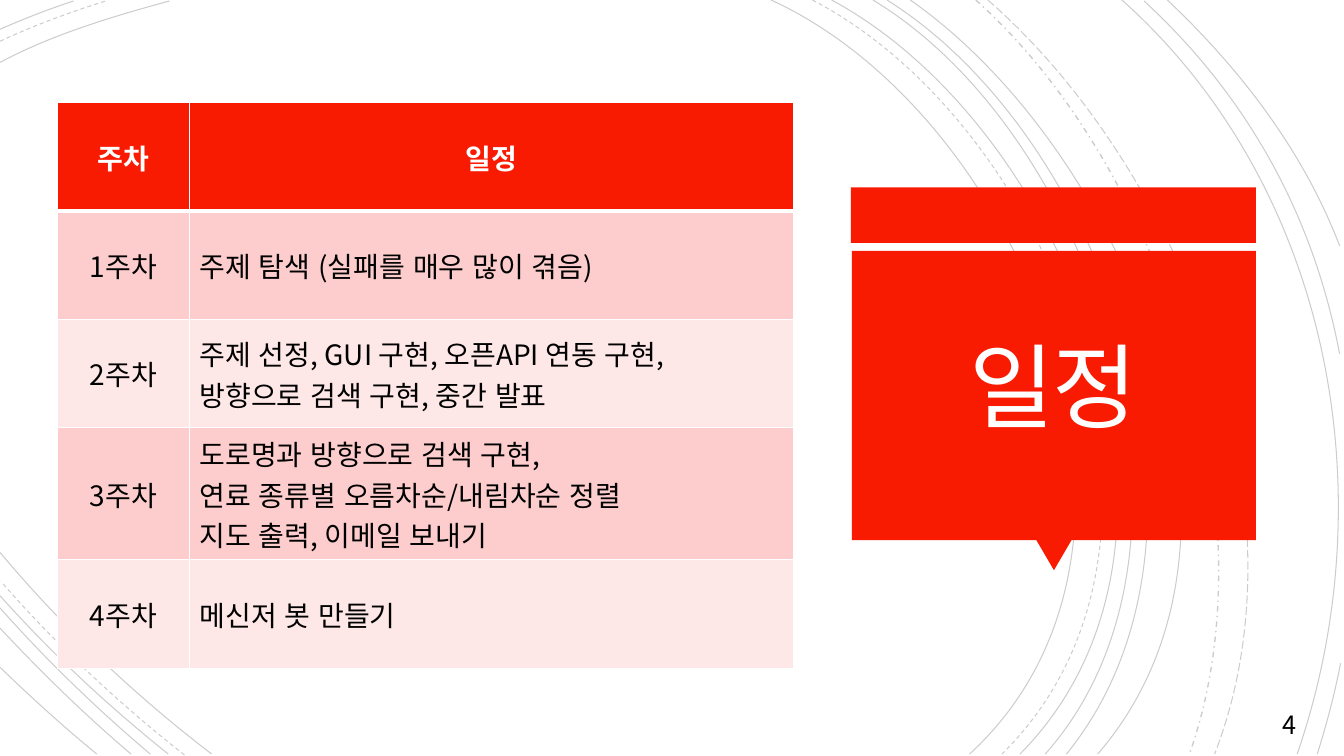
from pptx import Presentation
from pptx.dml.color import RGBColor
from pptx.enum.dml import MSO_LINE
from pptx.enum.lang import MSO_LANGUAGE_ID
from pptx.enum.shapes import MSO_SHAPE
from pptx.enum.text import MSO_ANCHOR, MSO_AUTO_SIZE, PP_ALIGN
from pptx.oxml.ns import qn
from pptx.util import Pt
from lxml.etree import Element, SubElement

HUES = {"red": "F81B02", "white": "FFFFFF", "title": "FFFEFF",
        "black": "000000", "dark": "FCCDCC", "light": "FEE8E7"}
FACE = "Noto Sans CJK KR"


def hue(name):
    return RGBColor.from_string(HUES[name])


def write(frame, lines, look, color, align=PP_ALIGN.LEFT):
    """Fill a text frame, one paragraph per line."""
    frame.text = "\n".join(lines)
    for para in frame.paragraphs:
        para.alignment = align
        font = para.runs[0].font
        for key, value in look.items():
            setattr(font, key, value)
        font.name = FACE
        font.language_id = MSO_LANGUAGE_ID.KOREAN
        font.color.rgb = hue(color)
        props = para.runs[0]._r.get_or_add_rPr()
        props.set("kern", "0")
        SubElement(props, qn("a:ea")).set("typeface", FACE)


deck = Presentation()
deck.slide_width, deck.slide_height = Pt(960), Pt(540)
slide = deck.slides.add_slide(deck.slide_layouts[5])
shapes = slide.shapes

# Background arcs: start, two control points and end of each curve
SOLID, DASH = MSO_LINE.SOLID, MSO_LINE.DASH
arcs = {
    (SOLID, 0.75): [
        (550.8, 0, 731.5, 82.8, 855.4, 388.8, 692.6, 538.6),
        (0, 44.6, 37.4, 24.5, 81.4, 11.5, 121, 0.7),
        (151.2, 538.6, 96.5, 496.8, 44.6, 447.8, 0, 394.6),
        (594, 0, 763.9, 91.4, 879.1, 386.6, 728.6, 538.6),
        (0, 20.9, 16.6, 13.7, 34.6, 6.5, 52.6, 0.7),
        (120.2, 538.6, 77.8, 504.7, 36.7, 466.6, 0, 425.5),
        (623.5, 0, 782.6, 95.8, 879.1, 389.5, 746.6, 538.6),
        (107.3, 538.6, 69.8, 506.9, 33.1, 471.6, 0, 434.2),
        (633.6, 0, 792, 99.4, 887.8, 383.8, 761.8, 538.6),
        (93.6, 538.6, 60.5, 510.5, 29.5, 480.2, 0, 448.6),
        (650.2, 0, 801.4, 105.8, 920.2, 380.9, 784.1, 538.6),
        (69.1, 538.6, 45.4, 519.1, 22.3, 498.2, 0, 476.6),
        (801.4, 0, 950.4, 133.2, 990.7, 352.8, 926.6, 538.6),
        (817.2, 0.7, 891.4, 69.1, 938.2, 154.1, 956.9, 252.7),
        (957.6, 473.8, 953.3, 496.1, 947.5, 517.7, 941, 538.6),
        (833.8, 0, 886.3, 49.7, 931, 108, 956.9, 175.7)],
    (DASH, 0.75): [
        (580.3, 0, 753.1, 90, 869.8, 386.6, 715.7, 538.6),
        (0, 29.5, 24.5, 18, 50.4, 8.6, 75.6, 0.7),
        (131.8, 539.3, 85, 502.6, 40.3, 460.8, 0.7, 415.4)],
    (MSO_LINE.DASH_DOT, 1): [
        (697, 0, 830.9, 119.5, 910.8, 366.5, 849.6, 538.6)],
    (MSO_LINE.LONG_DASH, 0.75): [
        (705.6, 0, 844.6, 121.7, 937.4, 359.3, 867.6, 538.6)],
}
for (dash, width), curves in arcs.items():
    for curve in curves:
        spots = [Pt(value) for value in curve]
        dots = list(zip(spots[::2], spots[1::2]))
        pen = shapes.build_freeform(*dots[0])
        pen.add_line_segments(dots[1:], close=False)
        arc = pen.convert_to_shape()
        # Join the three segments into one Bezier curve
        legs = list(arc._element.iter(qn("a:lnTo")))
        trace = legs[0].getparent()
        bend = SubElement(trace, qn("a:cubicBezTo"))
        for leg in legs:
            bend.append(leg[0])
            trace.remove(leg)
        arc.shadow.inherit = False
        arc.fill.background()
        arc.line.color.rgb = hue("black")
        arc.line.width = Pt(width)
        arc.line.dash_style = dash
        tint = arc.line._ln.find(".//" + qn("a:srgbClr"))
        SubElement(tint, qn("a:alpha")).set("val", "20000")

# Red title panel: top bar, pointer, body
for kind, box, turn in [
        (MSO_SHAPE.RECTANGLE, (607.7, 133.9, 289.4, 39.6), 0),
        (MSO_SHAPE.ISOSCELES_TRIANGLE, (740.2, 385.7, 25.2, 21.6), 180),
        (MSO_SHAPE.RECTANGLE, (608.4, 179.3, 288.7, 206.6), 0)]:
    part = shapes.add_shape(kind, *map(Pt, box))
    part.rotation = turn
    part.shadow.inherit = False
    part.fill.solid()
    part.fill.fore_color.rgb = hue("red")
    part.line.fill.background()

# Title, raised above the panel
title = shapes.title
title.left, title.top, title.width, title.height = map(
    Pt, (614.9, 185, 275.8, 193.7))
shapes._spTree.append(title._element)
frame = title.text_frame
form = {"word_wrap": True, "auto_size": MSO_AUTO_SIZE.NONE,
        "vertical_anchor": MSO_ANCHOR.MIDDLE}
form.update({"margin_" + side: Pt(18)
             for side in ("left", "top", "right", "bottom")})
for key, value in form.items():
    setattr(frame, key, value)
write(frame, ["일정"], {"size": Pt(66)}, "title", PP_ALIGN.CENTER)
frame.paragraphs[0].line_spacing = 0.8
frame.paragraphs[0].runs[0]._r.get_or_add_rPr().set("spc", "-150")

# Page number
page = shapes.add_textbox(*map(Pt, (909, 503.3, 36, 28.8)))
page.text_frame.word_wrap = True
write(page.text_frame, ["4"], {"size": Pt(18)}, "black")

# Schedule table
rows = [
    ("주차", ["일정"]),
    ("1주차", ["주제 탐색 (실패를 매우 많이 겪음)"]),
    ("2주차", ["주제 선정, GUI 구현, 오픈API 연동 구현,",
             "방향으로 검색 구현, 중간 발표"]),
    ("3주차", ["도로명과 방향으로 검색 구현,",
             "연료 종류별 오름차순/내림차순 정렬",
             "지도 출력, 이메일 보내기"]),
    ("4주차", ["메신저 봇 만들기"]),
]
plan = shapes.add_table(len(rows), 2, *map(Pt, (41, 73.4, 525.6, 403.9))).table
for col, width in zip(plan.columns, (94.3, 431.3)):
    col.width = Pt(width)
for r, (week, tasks) in enumerate(rows):
    plan.rows[r].height = Pt(94.3 if len(tasks) == 3 else 77.4)
    head = r == 0
    for c, lines in enumerate(([week], tasks)):
        cell = plan.cell(r, c)
        cell.vertical_anchor = MSO_ANCHOR.MIDDLE
        cell.fill.solid()
        cell.fill.fore_color.rgb = hue(
            "red" if head else "dark" if r % 2 else "light")
        write(cell.text_frame, lines, {"size": Pt(20), "bold": head},
              "white" if head else "black",
              PP_ALIGN.CENTER if head or c == 0 else PP_ALIGN.LEFT)
        # White borders, thicker below the header
        edges = {"lnL": 1, "lnR": 1, "lnT": 3 if r == 1 else 1,
                 "lnB": 3 if head else 1}
        for spot, (name, width) in enumerate(edges.items()):
            edge = Element(qn("a:" + name), w=str(Pt(width)))
            paint = SubElement(edge, qn("a:solidFill"))
            SubElement(paint, qn("a:srgbClr")).set("val", HUES["white"])
            cell._tc.get_or_add_tcPr().insert(spot, edge)

deck.save("out.pptx")
